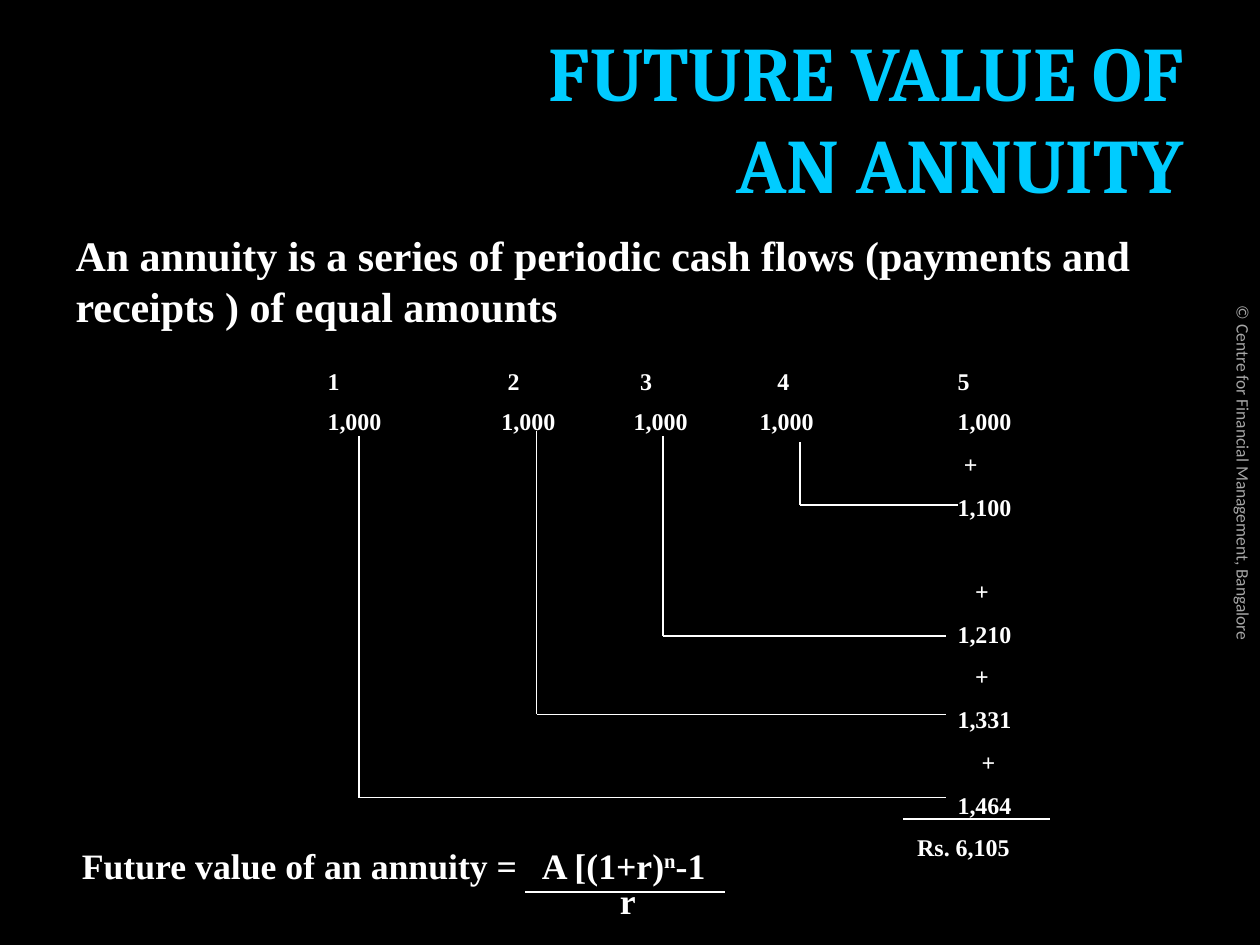
from dataclasses import dataclass

from lxml import etree
from pptx import Presentation
from pptx import util as u
from pptx.dml.color import RGBColor
from pptx.enum import shapes, text
from pptx.oxml import ns

COLORS = {"page": "000000", "title": "00CCFF", "body": "FFFFFF", "credit": "A6A6A6"}
SERIF = "Times New Roman"
ROW_SIZE = 13.7
ROW_GAP = 8
TEXT_LEFT = 0.6


@dataclass
class Row:
    cells: list[str]
    stops: list[float]
    gap: float = ROW_GAP


@dataclass
class Bracket:
    left: float
    top: float
    bottom: float
    right: float
    drop_width: float
    run_width: float


PERIODS = ["1", "2", "3", "4", "5"]
ROWS = [
    Row(PERIODS, [2.6, 4.03, 5.08, 6.17, 7.6], 0),
    Row(["1,000"] * len(PERIODS), [2.6, 3.98, 5.03, 6.03, 7.6], 6.5),
    Row(["+"], [7.65]),
    Row(["1,100"], [7.6]),
    Row(["+"], [7.74], 31.6),
    Row(["1,210"], [7.6]),
    Row(["+"], [7.74]),
    Row(["1,331"], [7.6]),
    Row(["+"], [7.79]),
    Row(["1,464"], [7.6]),
    Row(["Rs. 6,105"], [7.28]),
]
BRACKETS = [
    Bracket(2.85, 3.46, 6.33, 7.51, 0.75, 1),
    Bracket(4.26, 3.42, 5.67, 7.51, 0.75, 0.75),
    Bracket(5.26, 3.46, 5.05, 7.51, 1, 1),
    Bracket(6.35, 3.51, 4.01, 7.6, 1, 1),
]


def add_box(page, left: float, top: float, width: float, height: float):
    box = page.shapes.add_textbox(*map(u.Inches, (left, top, width, height)))
    frame = box.text_frame
    frame.word_wrap = True
    frame.margin_left = frame.margin_right = 0
    frame.margin_top = frame.margin_bottom = 0
    return box


def add_span(para, words: str, *, size: float, font: str = SERIF,
             color: str = "body", bold: bool = True, raised: bool = False) -> None:
    span = para.add_run()
    span.text = words
    span.font.size = u.Pt(size)
    span.font.name = font
    span.font.bold = bold
    span.font.color.rgb = RGBColor.from_string(COLORS[color])
    if raised:
        span.font._element.set("baseline", "30000")


def add_tabs(para, stops: list[float]) -> None:
    tabs = etree.SubElement(para._p.get_or_add_pPr(), ns.qn("a:tabLst"))
    for stop in stops:
        etree.SubElement(tabs, ns.qn("a:tab"), pos=str(u.Inches(stop - TEXT_LEFT)), algn="l")


def next_para(frame, index: int):
    return frame.add_paragraph() if index else frame.paragraphs[0]


def add_line(page, start: tuple[float, float], end: tuple[float, float], width: float = 1) -> None:
    line = page.shapes.add_connector(
        shapes.MSO_CONNECTOR.STRAIGHT, *map(u.Inches, (*start, *end)))
    line.line.color.rgb = RGBColor.from_string(COLORS["body"])
    line.line.width = u.Pt(width)
    etree.SubElement(line._element.spPr, ns.qn("a:effectLst"))


def add_headings(page) -> None:
    credit = add_box(page, 6.12, 3.62, 7.5, 0.27)
    credit.rotation = 90
    credit.text_frame.vertical_anchor = text.MSO_ANCHOR.MIDDLE
    para = credit.text_frame.paragraphs[0]
    para.alignment = text.PP_ALIGN.CENTER
    add_span(para, "© Centre for Financial Management, Bangalore",
             size=10, font="Calibri", color="credit", bold=False)

    title = add_box(page, 0.5, 0.3, 8.9, 1.25)
    title.text_frame.vertical_anchor = text.MSO_ANCHOR.MIDDLE
    for index, words in enumerate(["FUTURE VALUE OF", "AN ANNUITY"]):
        para = next_para(title.text_frame, index)
        para.alignment = text.PP_ALIGN.RIGHT
        add_span(para, words, size=44, font="Cambria", color="title")

    definition = add_box(page, TEXT_LEFT, 1.82, 8.8, 0.81)
    para = definition.text_frame.paragraphs[0]
    para.line_spacing = u.Pt(29)
    add_span(para, "An annuity is a series of periodic cash flows (payments and "
             "receipts ) of equal amounts", size=24)


def add_schedule(page) -> None:
    frame = add_box(page, TEXT_LEFT, 2.91, 8.8, 3.85).text_frame
    for index, row in enumerate(ROWS):
        para = next_para(frame, index)
        add_tabs(para, row.stops)
        para.space_before = u.Pt(row.gap)
        add_span(para, "".join("\t" + cell for cell in row.cells), size=ROW_SIZE)
    for bracket in BRACKETS:
        corner = (bracket.left, bracket.bottom)
        add_line(page, (bracket.left, bracket.top), corner, bracket.drop_width)
        add_line(page, corner, (bracket.right, bracket.bottom), bracket.run_width)
    add_line(page, (7.17, 6.5), (8.33, 6.5))


def add_formula(page) -> None:
    frame = add_box(page, TEXT_LEFT + 0.05, 6.76, 6, 0.56).text_frame
    parts = [
        (4.25, [("Future value of an annuity =\tA [(1+r)", False), ("n", True), ("-1", False)]),
        (4.87, [("\tr", False)]),
    ]
    for index, (stop, spans) in enumerate(parts):
        para = next_para(frame, index)
        add_tabs(para, [stop])
        para.line_spacing = u.Pt(20)
        for words, raised in spans:
            add_span(para, words, size=20.4, raised=raised)
    add_line(page, (4.17, 7.08), (5.75, 7.08))


def main() -> None:
    """Build the annuity slide and save it."""
    deck = Presentation()
    deck.slide_width, deck.slide_height = u.Inches(10), u.Inches(7.5)
    page = deck.slides.add_slide(deck.slide_layouts[6])
    page.background.fill.solid()
    page.background.fill.fore_color.rgb = RGBColor.from_string(COLORS["page"])
    add_headings(page)
    add_schedule(page)
    add_formula(page)
    deck.save("out.pptx")


if __name__ == "__main__":
    main()
